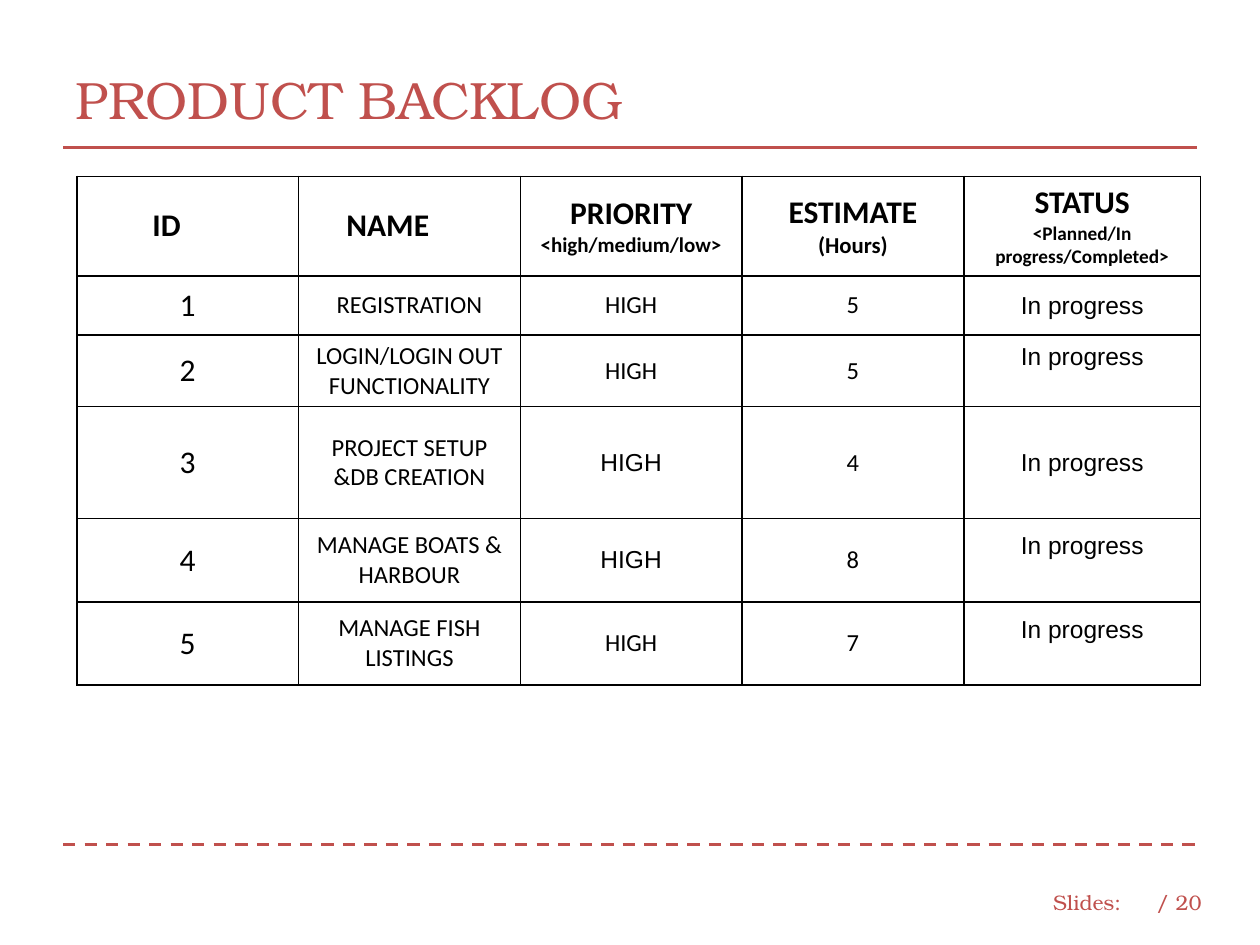
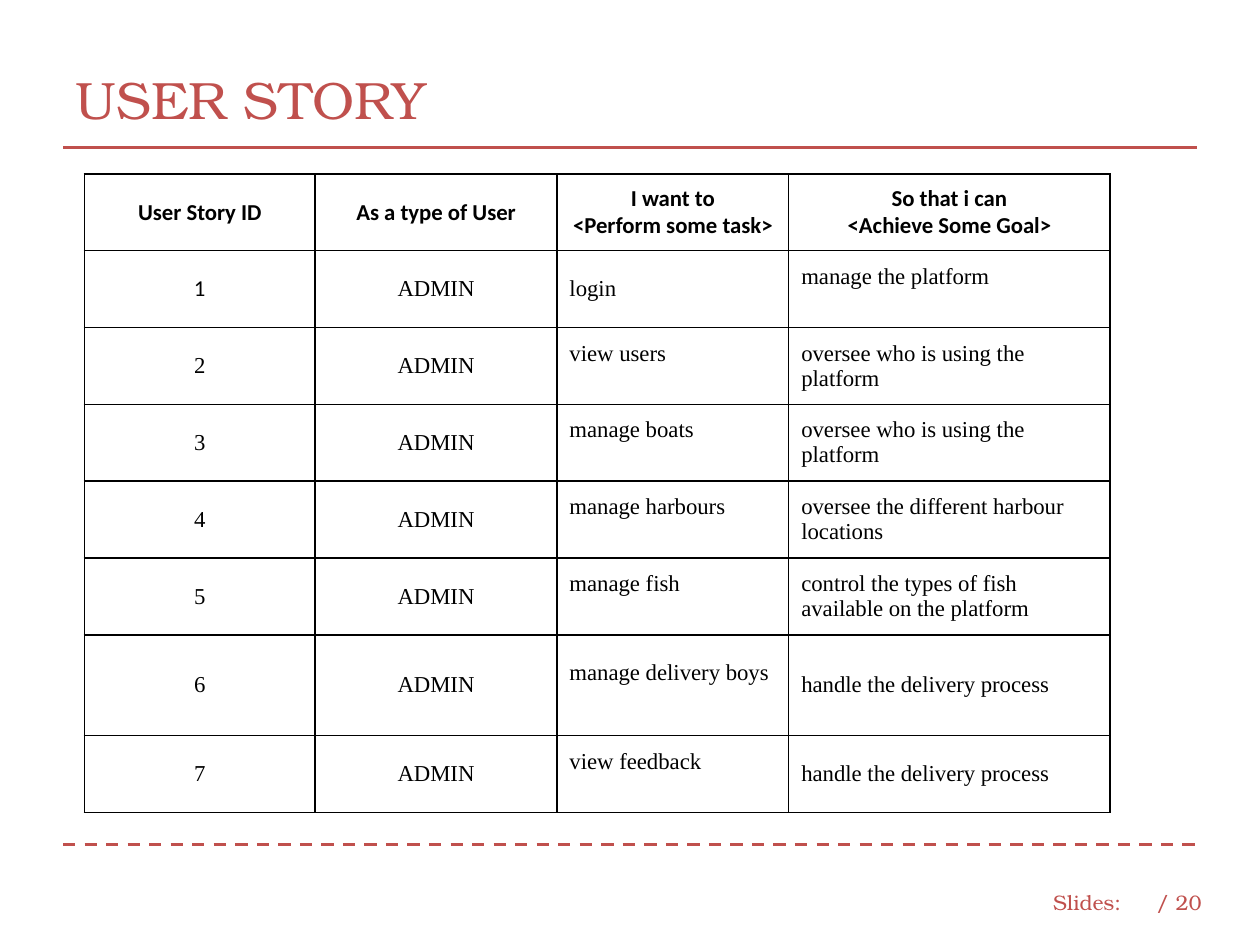
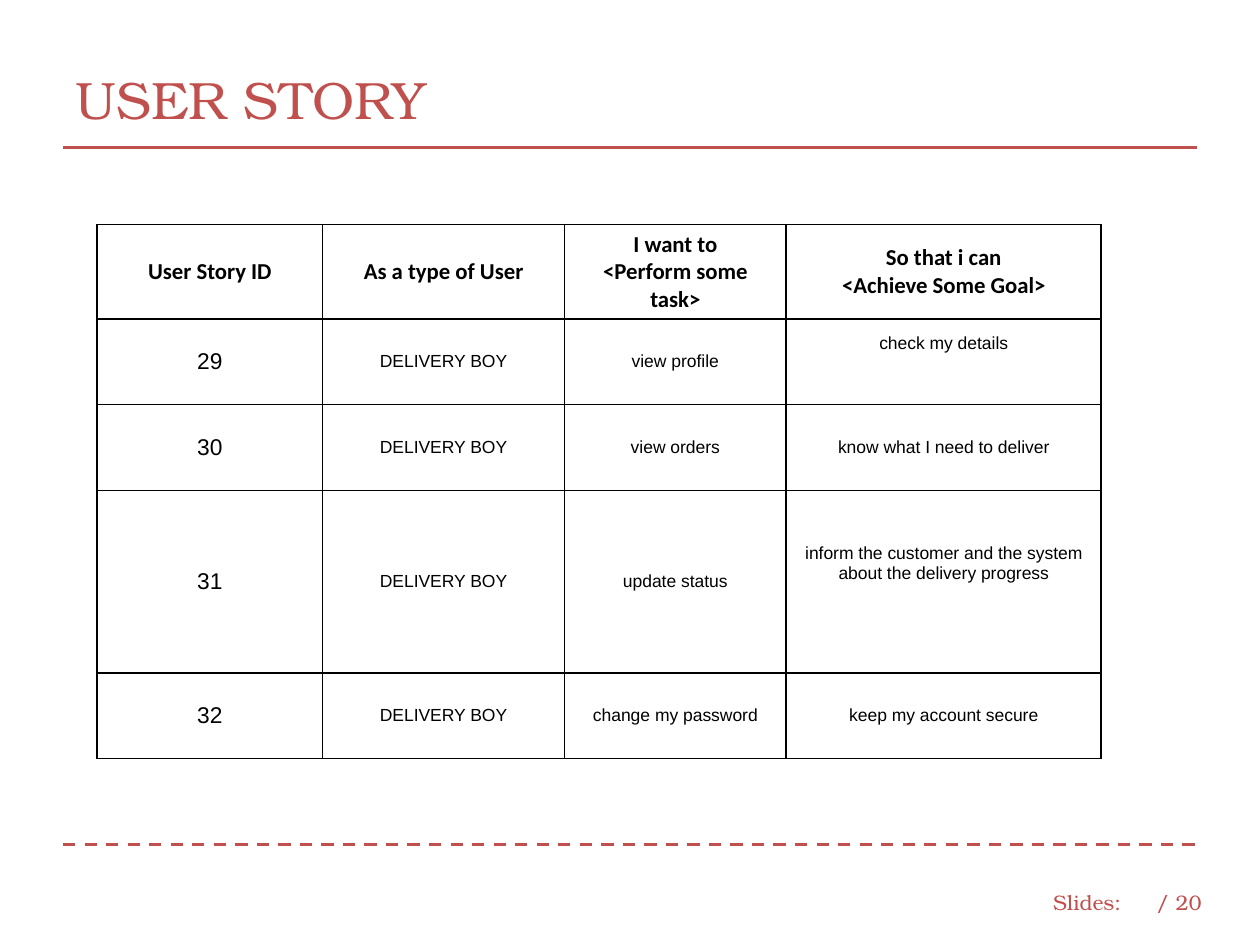
from dataclasses import dataclass

from lxml import etree
from pptx import Presentation
from pptx.dml.color import RGBColor
from pptx.enum.dml import MSO_LINE
from pptx.enum.shapes import MSO_CONNECTOR
from pptx.enum.text import MSO_ANCHOR, PP_ALIGN
from pptx.oxml.ns import qn
from pptx.util import Inches, Pt

LEFT, CENTER = PP_ALIGN.LEFT, PP_ALIGN.CENTER
MIDDLE = MSO_ANCHOR.MIDDLE
STRAIGHT = MSO_CONNECTOR.STRAIGHT
DASH = MSO_LINE.DASH


@dataclass(frozen=True)
class Theme:
    accent: RGBColor = RGBColor(0xC0, 0x50, 0x4D)
    ink: RGBColor = RGBColor(0, 0, 0)
    paper: RGBColor = RGBColor(255, 255, 255)
    display: str = "TeX Gyre Bonum"
    body: str = "Calibri"
    sans: str = "Arial"
    serif: str = "Times New Roman"
    title_size: int = 30
    footer_size: int = 12
    heading_size: int = 18
    label_size: int = 14
    story_size: int = 13
    detail_size: int = 10
    rule_width: float = 1.75
    border_width: float = 0.96


theme = Theme()


def style_paragraph(paragraph, font, size, color, align=LEFT, bold=False):
    paragraph.alignment = align
    paragraph.font.name = font
    paragraph.font.size = Pt(size)
    paragraph.font.color.rgb = color
    paragraph.font.bold = bold


def fill_cell(cell, text, font, sizes, align, bold=False, indent=0, lift=0):
    cell.text = text
    cell.vertical_anchor = MIDDLE
    cell.margin_left = Inches(0.1 + indent)
    cell.margin_right = Inches(0.1)
    cell.margin_top = Inches(0.05)
    cell.margin_bottom = Inches(0.05 + lift)
    for paragraph, size in zip(cell.text_frame.paragraphs, sizes):
        style_paragraph(paragraph, font, size, theme.ink, align, bold)
    properties = cell._tc.get_or_add_tcPr()
    for side in ("lnL", "lnR", "lnT", "lnB"):
        border = etree.SubElement(properties, qn(f"a:{side}"), w=str(Pt(theme.border_width)))
        border_fill = etree.SubElement(border, qn("a:solidFill"))
        etree.SubElement(border_fill, qn("a:srgbClr"), val=str(theme.ink))
    cell.fill.solid()
    cell.fill.fore_color.rgb = theme.paper


story_header = [
    "User Story ID",
    "As a type of User",
    "I want to\n<Perform some task>",
    "So that i can\n<Achieve Some Goal>",
]
story_header_sizes = [(theme.story_size, theme.story_size)] * 4

admin_stories = [
    ("login", "manage the platform"),
    ("view users", "oversee who is using the platform"),
    ("manage boats", "oversee who is using the platform"),
    ("manage harbours", "oversee the different harbour locations"),
    ("manage fish", "control the types of fish available on the platform"),
    ("manage delivery boys", "handle the delivery process"),
    ("view feedback", "handle the delivery process"),
]
delivery_stories = [
    ("view profile", "check my details"),
    ("view orders", "know what I need to deliver"),
    ("update status", "inform the customer and the system about the delivery progress"),
    ("change my password", "keep my account secure"),
]
backlog_items = [
    ("REGISTRATION", 5),
    ("LOGIN/LOGIN OUT FUNCTIONALITY", 5),
    ("PROJECT SETUP &DB CREATION", 4),
    ("MANAGE BOATS & HARBOUR", 8),
    ("MANAGE FISH LISTINGS", 7),
]

sections = [
    {
        "title": "PRODUCT BACKLOG",
        "origin": (0.61, 1.4),
        "columns": [1.76] * 4 + [1.88],
        "rows": [0.79, 0.47, 0.47, 0.89, 0.66, 0.66],
        "header": [
            "ID",
            "NAME",
            "PRIORITY\n<high/medium/low>",
            "ESTIMATE\n(Hours)",
            "STATUS\n<Planned/In progress/Completed>",
        ],
        "header_sizes": [(theme.heading_size, note) for note in (12, 12, 12, 13, 11)],
        "indents": {0: 0.5, 1: 0.28},
        "body": [
            (number, name, "HIGH", hours, "In progress")
            for number, (name, hours) in enumerate(backlog_items, 1)
        ],
        "styles": [(theme.body, theme.heading_size, CENTER)]
        + [(theme.body, theme.label_size, CENTER)] * 3
        + [(theme.sans, theme.label_size, CENTER)],
        "font_exceptions": {(3, 2): theme.sans, (4, 2): theme.sans},
        "lifted": {(2, 4), (4, 4), (5, 4)},
        "lift": 0.22,
    },
    {
        "title": "USER STORY",
        "origin": (0.67, 1.38),
        "columns": [1.83, 1.92, 1.84, 2.55],
        "rows": [0.61] * 6 + [0.8, 0.61],
        "header": story_header,
        "header_sizes": story_header_sizes,
        "indents": {},
        "body": [
            (number, "ADMIN", *story) for number, story in enumerate(admin_stories, 1)
        ],
        "styles": [(theme.serif, theme.story_size, CENTER)] * 2
        + [(theme.serif, theme.story_size, LEFT)] * 2,
        "font_exceptions": {(1, 0): theme.body},
        "lifted": {(1, 3)} | {(row, 2) for row in range(2, 8)},
        "lift": 0.2,
    },
    {
        "title": "USER STORY",
        "origin": (0.77, 1.78),
        "columns": [1.79, 1.92, 1.76, 2.5],
        "rows": [0.69, 0.68, 0.68, 1.45, 0.68],
        "header": story_header,
        "header_sizes": story_header_sizes,
        "indents": {},
        "body": [
            (number, "DELIVERY BOY", *story)
            for number, story in enumerate(delivery_stories, 29)
        ],
        "styles": [(theme.sans, theme.story_size, CENTER)]
        + [(theme.sans, theme.detail_size, CENTER)] * 3,
        "font_exceptions": {},
        "lifted": {(1, 3), (3, 3)},
        "lift": 0.29,
    },
]

deck = Presentation()
deck.slide_width, deck.slide_height = Inches(10), Inches(7.5)
title_only = deck.slide_layouts[5]

for section in sections:
    slide = deck.slides.add_slide(title_only)

    for label, left, width in (("Slides:", 8.26, 0.75), ("/ 20", 9.08, 0.57)):
        footer = slide.shapes.add_textbox(
            Inches(left), Inches(6.96), Inches(width), Inches(0.4)
        ).text_frame
        footer.text = label
        footer.word_wrap = False
        footer.vertical_anchor = MIDDLE
        style_paragraph(footer.paragraphs[0], theme.display, theme.footer_size, theme.accent)

    for height, dash in ((6.7, DASH), (1.17, None)):
        rule = slide.shapes.add_connector(
            STRAIGHT, Inches(0.5), Inches(height), Inches(9.5), Inches(height)
        )
        rule.line.color.rgb = theme.accent
        rule.line.width = Pt(theme.rule_width)
        rule.line.dash_style = dash
        etree.SubElement(rule._element.spPr, qn("a:effectLst"))

    title = slide.shapes.title
    title.left, title.top = Inches(0.5), Inches(0.33)
    title.width, title.height = Inches(9), Inches(0.91)
    title.text_frame.text = section["title"]
    title.text_frame.vertical_anchor = MIDDLE
    style_paragraph(
        title.text_frame.paragraphs[0], theme.display, theme.title_size, theme.accent
    )

    columns, rows = section["columns"], section["rows"]
    left, top = section["origin"]
    table = slide.shapes.add_table(
        len(rows), len(columns),
        Inches(left), Inches(top), Inches(sum(columns)), Inches(sum(rows)),
    ).table
    table.first_row = table.horz_banding = False
    for column, width in zip(table.columns, columns):
        column.width = Inches(width)
    for row, height in zip(table.rows, rows):
        row.height = Inches(height)

    for c, (heading, sizes) in enumerate(zip(section["header"], section["header_sizes"])):
        indent = section["indents"].get(c, 0)
        align = LEFT if indent else CENTER
        fill_cell(table.cell(0, c), heading, theme.body, sizes, align, True, indent)

    for r, values in enumerate(section["body"], 1):
        for c, (value, (font, size, align)) in enumerate(zip(values, section["styles"])):
            font = section["font_exceptions"].get((r, c), font)
            lift = section["lift"] if (r, c) in section["lifted"] else 0
            fill_cell(table.cell(r, c), str(value), font, [size], align, lift=lift)

deck.save("out.pptx")
